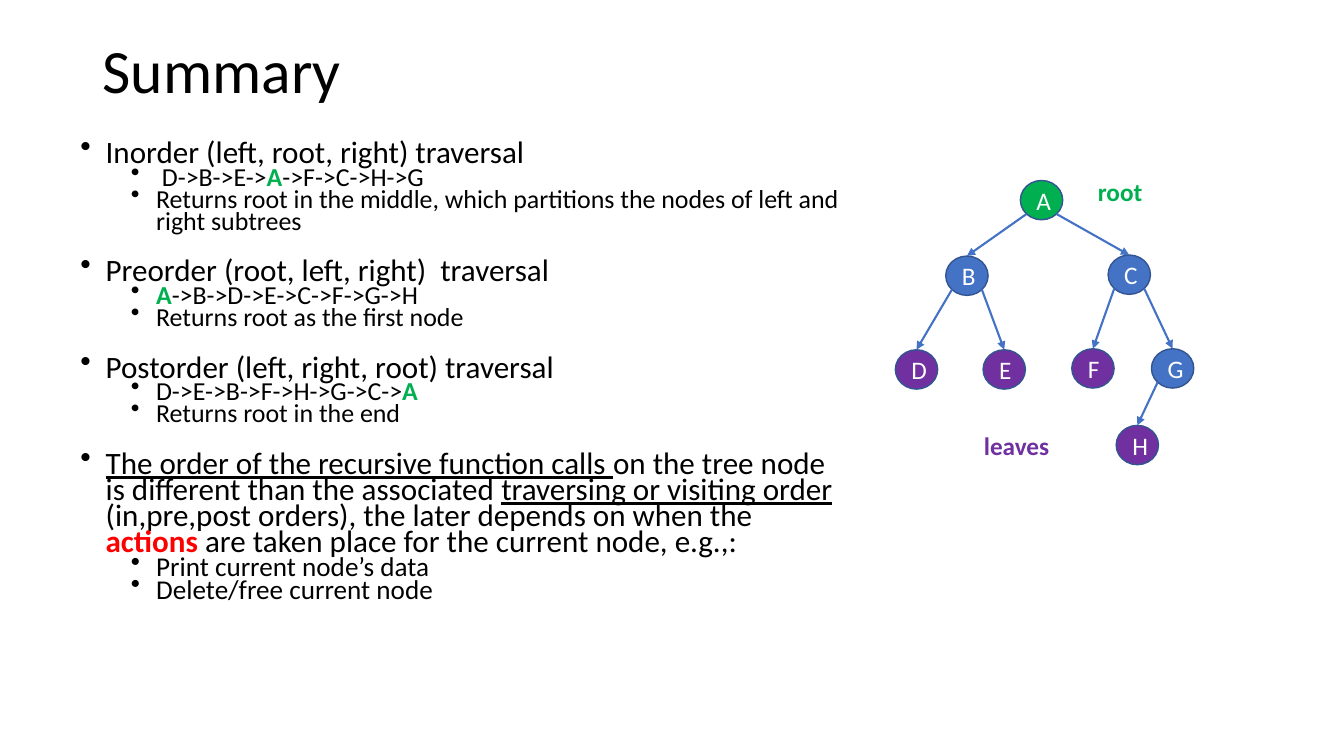
"""Build the tree traversal summary slide."""
import math
from dataclasses import dataclass

import pptx
import pptx.dml.color
import pptx.enum.shapes
import pptx.enum.text
import pptx.oxml
import pptx.oxml.ns
import pptx.util

Inches = pptx.util.Inches
Pt = pptx.util.Pt


@dataclass(frozen=True)
class Theme:
    font: str = "Calibri"
    ink: str = "000000"
    paper: str = "FFFFFF"
    root: str = "00B050"
    inner: str = "4472C4"
    leaf: str = "7030A0"
    outline: str = "325491"
    alert: str = "FF0000"
    title: float = 44
    topic: float = 22.2
    detail: float = 18.5
    action: float = 19.4
    label: float = 18


class SlideBuilder:
    NODE_WIDTH, NODE_HEIGHT = 0.42, 0.39

    def __init__(self, slide, theme):
        self.shapes = slide.shapes
        self.theme = theme

    def color(self, value):
        return pptx.dml.color.RGBColor.from_string(value)

    def style(self, run, size, color, bold=False, underline=False):
        run.font.name = self.theme.font
        run.font.size = Pt(size)
        run.font.color.rgb = self.color(color)
        run.font.bold = bold
        run.font.underline = underline

    def frame(self, left, top, width, height):
        box = self.shapes.add_textbox(*map(Inches, (left, top, width, height)))
        box.text_frame.word_wrap = True
        return box.text_frame

    def title(self, text, *area):
        heading = self.frame(*area)
        heading.vertical_anchor = pptx.enum.text.MSO_ANCHOR.MIDDLE
        heading.text = text
        heading.paragraphs[0].line_spacing = 0.9
        self.style(heading.paragraphs[0].runs[0], self.theme.title, self.theme.ink)

    def label(self, text, color, *area):
        caption = self.frame(*area)
        caption.auto_size = pptx.enum.text.MSO_AUTO_SIZE.SHAPE_TO_FIT_TEXT
        caption.text = text
        self.style(caption.paragraphs[0].runs[0], self.theme.label, color, bold=True)

    def outline(self, items, *area):
        body = self.frame(*area)
        for index, (level, size, pieces) in enumerate(items):
            item = body.add_paragraph() if index else body.paragraphs[0]
            item.level = level
            item.line_spacing = 0.7
            item.space_before = Pt(19 if index and level == 0 else 0)
            self.bullet(item, 0.25 + 0.5 * level)
            for text, look in pieces:
                run = item.add_run()
                run.text = text
                self.style(run, size, **{"color": self.theme.ink, **look})

    def bullet(self, item, margin):
        properties = item._p.get_or_add_pPr()
        properties.set("marL", str(Inches(margin)))
        properties.set("indent", str(Inches(-0.25)))
        namespace = pptx.oxml.ns.nsdecls("a")
        for markup in (
            f'<a:buClr {namespace}><a:srgbClr val="{self.theme.ink}"/></a:buClr>',
            f'<a:buChar {namespace} char="\u2022"/>',
        ):
            properties.append(pptx.oxml.parse_xml(markup))

    def node(self, name, color, left, top):
        oval = self.shapes.add_shape(
            pptx.enum.shapes.MSO_SHAPE.OVAL,
            *map(Inches, (left, top, self.NODE_WIDTH, self.NODE_HEIGHT)),
        )
        oval.shadow.inherit = False
        oval.fill.solid()
        oval.fill.fore_color.rgb = self.color(color)
        oval.line.color.rgb = self.color(self.theme.outline)
        oval.line.width = Pt(1)
        oval.text_frame.text = name
        letter = oval.text_frame.paragraphs[0]
        letter.alignment = pptx.enum.text.PP_ALIGN.CENTER
        self.style(letter.runs[0], self.theme.label, self.theme.paper)

    def edge(self, parent, child):
        """Join the lower diagonal point of a parent to the top of its child."""
        side = math.copysign(math.sqrt(0.5), child[0] - parent[0])
        start_x = parent[0] + self.NODE_WIDTH / 2 * (1 + side)
        start_y = parent[1] + self.NODE_HEIGHT / 2 * (1 + math.sqrt(0.5))
        end_x = child[0] + self.NODE_WIDTH / 2
        arrow = self.shapes.add_connector(
            pptx.enum.shapes.MSO_CONNECTOR.STRAIGHT,
            *map(Inches, (start_x, start_y, end_x, child[1])),
        )
        arrow.line.color.rgb = self.color(self.theme.inner)
        arrow.line.width = Pt(1.5)
        namespace = pptx.oxml.ns.nsdecls("a")
        arrow.line._get_or_add_ln().append(
            pptx.oxml.parse_xml(f'<a:tailEnd {namespace} type="triangle"/>')
        )
        arrow._element.spPr.append(pptx.oxml.parse_xml(f"<a:effectLst {namespace}/>"))


theme = Theme()
presentation = pptx.Presentation()
presentation.slide_width = Inches(13.33)
presentation.slide_height = Inches(7.5)
summary = SlideBuilder(
    presentation.slides.add_slide(presentation.slide_layouts[6]), theme
)

PLAIN = {}
UNDERLINED = {"underline": True}
ROOT = {"color": theme.root, "bold": True}
ALERT = {"color": theme.alert, "bold": True}


def topic(*pieces):
    return 0, theme.topic, pieces


def detail(*pieces):
    return 1, theme.detail, pieces


def action(text):
    return 1, theme.action, [(text, PLAIN)]


summary.title("Summary", 0.92, 0, 11.5, 1.45)
summary.outline(
    [
        topic(("Inorder (left, root, right) traversal", PLAIN)),
        detail((" D->B->E->", PLAIN), ("A", ROOT), ("->F->C->H->G", PLAIN)),
        detail(("Returns root in the middle, which partitions the nodes "
                "of left and right subtrees", PLAIN)),
        topic(("Preorder (root, left, right)  traversal", PLAIN)),
        detail(("A", ROOT), ("->B->D->E->C->F->G->H", PLAIN)),
        detail(("Returns root as the first node", PLAIN)),
        topic(("Postorder (left, right, root) traversal", PLAIN)),
        detail(("D->E->B->F->H->G->C->", PLAIN), ("A", ROOT)),
        detail(("Returns root in the end", PLAIN)),
        topic(
            ("The order of the recursive function calls ", UNDERLINED),
            ("on the tree node is different than the associated ", PLAIN),
            ("traversing or visiting order ", UNDERLINED),
            ("(in,pre,post orders), the later depends on when the ", PLAIN),
            ("actions", ALERT),
            (" are taken place for the current node, e.g.,:", PLAIN),
        ),
        action("Print current node\u2019s data"),
        action("Delete/free current node"),
    ],
    0.7, 1.37, 7.73, 4.97,
)

positions = {
    "A": (10.12, 1.79), "B": (9.38, 2.54), "C": (10.99, 2.53), "D": (8.88, 3.47),
    "E": (9.75, 3.47), "F": (10.63, 3.46), "G": (11.42, 3.46), "H": (11.07, 4.22),
}
children = {"A": "BC", "B": "DE", "C": "FG", "G": "H"}
for name, position in positions.items():
    role = theme.inner if name in children else theme.leaf
    summary.node(name, theme.root if name == "A" else role, *position)
for parent, descendants in children.items():
    for child in descendants:
        summary.edge(positions[parent], positions[child])

summary.label("root", theme.root, 10.79, 1.7, 1.05, 0.4)
summary.label("leaves", theme.leaf, 9.66, 4.22, 1.05, 0.4)

presentation.save("out.pptx")
